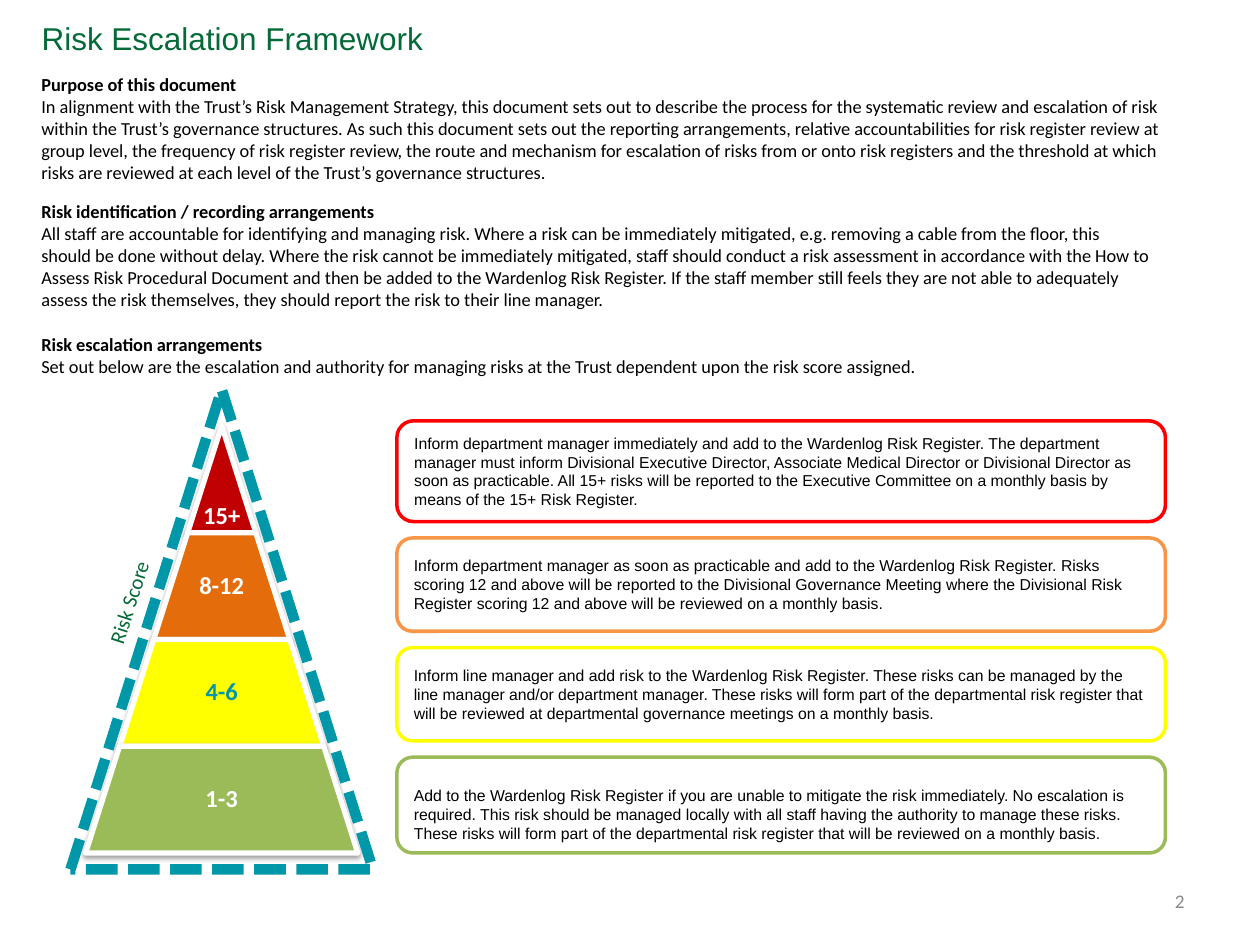
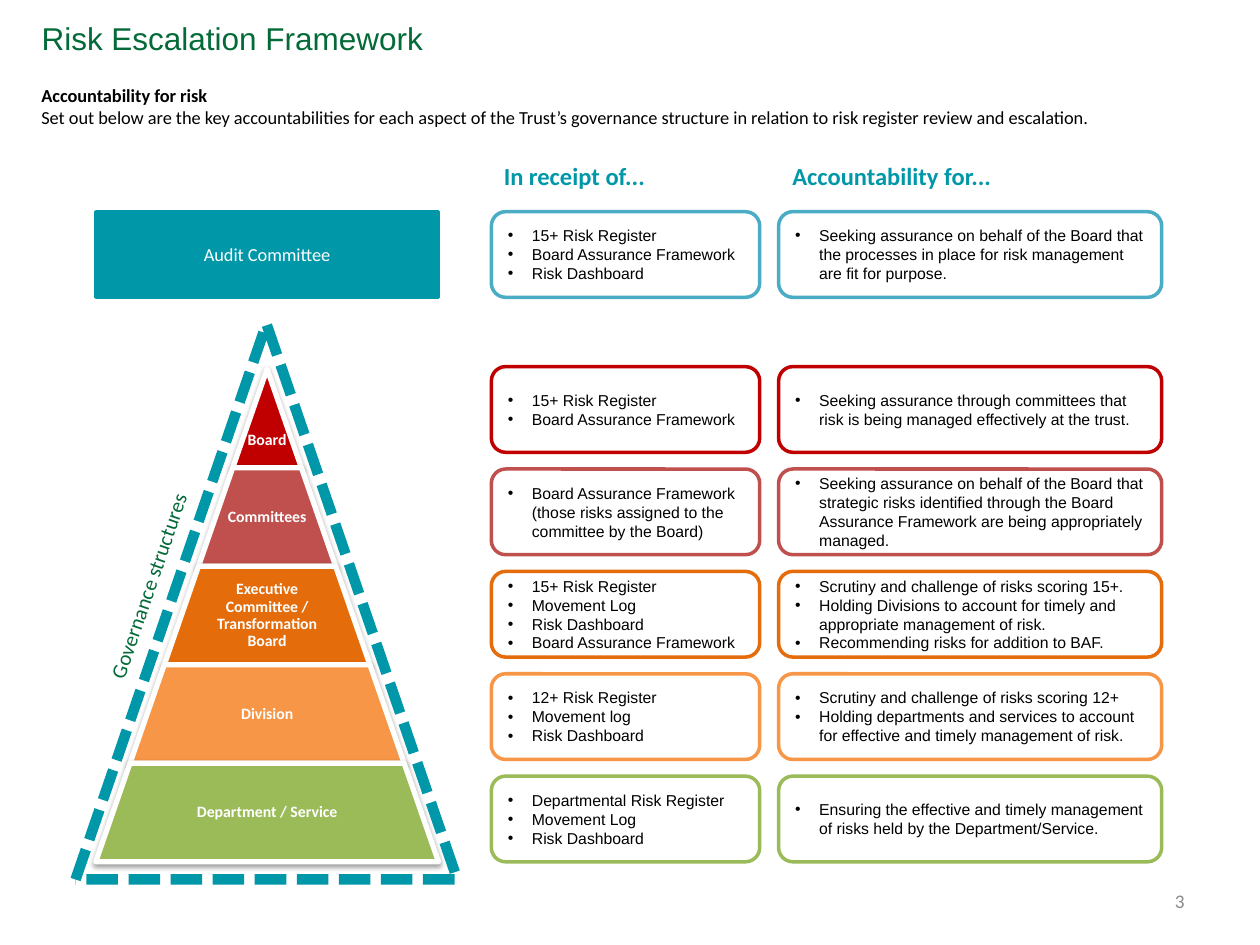
from dataclasses import dataclass, replace

from lxml import etree
from pptx import Presentation, util as u
from pptx.dml.color import RGBColor
from pptx.enum import dml, shapes, text
from pptx.oxml.ns import qn

COLORS = {
    "green": "046A38", "teal": "0097A9", "aqua": "4BACC6", "black": "000000",
    "white": "FFFFFF", "grey": "898989", "red": "FF0000", "crimson": "C00000",
    "brick": "C0504D", "rust": "E46C0A", "orange": "F79646",
    "yellow": "FFFF00", "leaf": "9BBB59",
}
KINDS = shapes.MSO_SHAPE
ALIGN = text.PP_ALIGN
ANCHOR = text.MSO_ANCHOR


@dataclass(frozen=True)
class Box:
    left: float
    top: float
    width: float
    height: float

    def lengths(self) -> list:
        return [u.Inches(v) for v in (self.left, self.top, self.width, self.height)]


@dataclass(frozen=True)
class Style:
    size: float
    font: str = "Calibri"
    color: str = "black"
    bold: bool = False
    align: ALIGN = ALIGN.LEFT
    bullet: bool = False
    line_spacing: float = 1.0
    space_before: float = 0


@dataclass(frozen=True)
class Level:
    label: str
    fill: str
    label_color: str = "white"


@dataclass(frozen=True)
class Pyramid:
    center: float
    top: float
    base: float
    height: float
    levels: tuple
    label_size: float
    label_inset: float
    peak_inset: float
    outline: Box
    side_label: str
    side_box: Box
    side_angle: float


@dataclass(frozen=True)
class Row:
    color: str
    receives: tuple
    accountable: tuple


TITLE = Style(18, "Arial", "green")
BODY = Style(10.5)
HEADING = replace(BODY, bold=True)
CARD = Style(9, "Arial")
BULLET = replace(CARD, bullet=True)
COLUMN = Style(14, color="teal", bold=True)
SIDE = Style(12, color="green", align=ALIGN.CENTER)
BANNER = Style(10.5, color="white", align=ALIGN.CENTER)
NUMBER = Style(11, color="grey", align=ALIGN.RIGHT)
INSETS = (0.1, 0.05, 0.1, 0.05)


def rgb(name: str) -> RGBColor:
    return RGBColor.from_string(COLORS[name])


def write(shape, lines: list, anchor=ANCHOR.TOP, insets: tuple = INSETS) -> None:
    frame = shape.text_frame
    frame.word_wrap = True
    frame.auto_size = text.MSO_AUTO_SIZE.NONE
    frame.vertical_anchor = anchor
    frame.margin_left, frame.margin_top, frame.margin_right, frame.margin_bottom = (
        u.Inches(v) for v in insets)
    for index, (words, style) in enumerate(lines):
        para = frame.add_paragraph() if index else frame.paragraphs[0]
        para.alignment = style.align
        para.line_spacing = style.line_spacing
        para.space_before = u.Pt(style.space_before)
        if style.bullet:
            props = para._p.get_or_add_pPr()
            props.set("marL", str(u.Inches(0.19)))
            props.set("indent", str(-u.Inches(0.19)))
            etree.SubElement(props, qn("a:buFont"), typeface="Arial")
            etree.SubElement(props, qn("a:buChar"), char="•")
        span = para.add_run()
        span.text = words
        span.font.size = u.Pt(style.size)
        span.font.name = style.font
        span.font.bold = style.bold
        span.font.color.rgb = rgb(style.color)


def add_text(page, box: Box, lines: list, anchor=ANCHOR.TOP, insets: tuple = INSETS):
    shape = page.shapes.add_textbox(*box.lengths())
    write(shape, lines, anchor, insets)
    return shape


def add_shape(page, kind, box: Box, line: str, weight: float, fill: str = ""):
    shape = page.shapes.add_shape(kind, *box.lengths())
    shape.shadow.inherit = False
    shape.line.color.rgb = rgb(line)
    shape.line.width = u.Pt(weight)
    if fill:
        shape.fill.solid()
        shape.fill.fore_color.rgb = rgb(fill)
    else:
        shape.fill.background()
    return shape


def add_shadow(shape) -> None:
    effects = shape._element.spPr.find(qn("a:effectLst"))
    shadow = etree.SubElement(effects, qn("a:outerShdw"), blurRad=str(u.Pt(3.1)),
                              dist=str(u.Pt(1.6)), dir="5400000", rotWithShape="0")
    color = etree.SubElement(shadow, qn("a:srgbClr"), val=COLORS["black"])
    etree.SubElement(color, qn("a:alpha"), val="38000")


def add_card(page, box: Box, color: str, lines: list, fill: str = "",
             insets: tuple = INSETS) -> None:
    card = add_shape(page, KINDS.ROUNDED_RECTANGLE, box, color, 2, fill)
    write(card, lines, ANCHOR.MIDDLE, insets)


def add_pyramid(page, pyramid: Pyramid) -> None:
    count = len(pyramid.levels)
    height = pyramid.height / count
    step = pyramid.base / count
    for index, level in enumerate(pyramid.levels):
        width = step * (index + 1)
        top = pyramid.top + height * index
        box = Box(pyramid.center - width / 2, top, width, height)
        band = add_shape(page, KINDS.TRAPEZOID, box, "white", 3, level.fill)
        band.adjustments[0] = step / 2 / min(width, height)
        add_shadow(band)
        peak = index == 0
        label_width = width if peak else width * 0.65
        inset = pyramid.label_inset
        style = Style(pyramid.label_size, color=level.label_color, bold=True,
                      align=ALIGN.CENTER, line_spacing=0.9)
        add_text(page, Box(pyramid.center - label_width / 2, top, label_width, height),
                 [(level.label, style)], ANCHOR.BOTTOM if peak else ANCHOR.MIDDLE,
                 (inset, inset, inset, pyramid.peak_inset if peak else inset))
    outline = add_shape(page, KINDS.ISOSCELES_TRIANGLE, pyramid.outline, "teal", 6)
    outline.line.dash_style = dml.MSO_LINE.SQUARE_DOT
    side = add_text(page, pyramid.side_box, [(pyramid.side_label, SIDE)],
                    insets=(0.07, 0.04, 0.07, 0.04))
    side.rotation = pyramid.side_angle


def add_page(deck, number: int):
    page = deck.slides.add_slide(deck.slide_layouts[5])
    title = page.shapes.title
    title.left, title.top, title.width, title.height = Box(0.23, 0.1, 5.32, 0.4).lengths()
    write(title, [("Risk Escalation Framework", TITLE)])
    add_text(page, Box(7.17, 6.95, 2.33, 0.4), [(str(number), NUMBER)], ANCHOR.MIDDLE)
    return page


def build_escalation(deck) -> None:
    page = add_page(deck, 2)
    add_text(page, Box(0.23, 0.53, 9.18, 0.98), [
        ("Purpose of this document", HEADING),
        ("In alignment with the Trust’s Risk Management Strategy, this document sets out to "
         "describe the process for the systematic review and escalation of risk within the "
         "Trust’s governance structures. As such this document sets out the reporting "
         "arrangements, relative accountabilities for risk register review at group level, the "
         "frequency of risk register review, the route and mechanism for escalation of risks "
         "from or onto risk registers and the threshold at which risks are reviewed at each "
         "level of the Trust’s governance structures.", BODY)])
    add_text(page, Box(0.23, 1.54, 9.03, 1.51), [
        ("Risk identification / recording arrangements", HEADING),
        ("All staff are accountable for identifying and managing risk. Where a risk can be "
         "immediately mitigated, e.g. removing a cable from the floor, this should be done "
         "without delay. Where the risk cannot be immediately mitigated, staff should conduct a "
         "risk assessment in accordance with the How to Assess Risk Procedural Document and "
         "then be added to the Wardenlog Risk Register. If the staff member still feels they "
         "are not able to adequately assess the risk themselves, they should report the risk to "
         "their line manager.", BODY),
        ("Risk escalation arrangements", replace(HEADING, space_before=12.8)),
        ("Set out below are the escalation and authority for managing risks at the Trust "
         "dependent upon the risk score assigned.", BODY)])
    add_pyramid(page, Pyramid(
        1.76, 3.38, 2.16, 3.39,
        (Level("15+", "crimson"), Level("8-12", "rust"),
         Level("4-6", "yellow", "teal"), Level("1-3", "leaf")),
        14, 0.02, 0.02, Box(0.56, 3.09, 2.4, 3.81),
        "Risk Score", Box(-0.47, 4.64, 2.98, 0.28), 287.9))
    cards = (
        ("red", 0.8, 0.05,
         "Inform department manager immediately and add to the Wardenlog Risk Register. The "
         "department manager must inform Divisional Executive Director, Associate Medical "
         "Director or Divisional Director as soon as practicable. All 15+ risks will be "
         "reported to the Executive Committee on a monthly basis by means of the 15+ Risk "
         "Register."),
        ("orange", 0.74, 0.05,
         "Inform department manager as soon as practicable and add to the Wardenlog Risk "
         "Register. Risks scoring 12 and above will be reported to the Divisional Governance "
         "Meeting where the Divisional Risk Register scoring 12 and above will be reviewed on a "
         "monthly basis."),
        ("yellow", 0.74, 0.05,
         "Inform line manager and add risk to the Wardenlog Risk Register. These risks can be "
         "managed by the line manager and/or department manager. These risks will form part of "
         "the departmental risk register that will be reviewed at departmental governance "
         "meetings on a monthly basis."),
        ("leaf", 0.76, 0.2,
         "Add to the Wardenlog Risk Register if you are unable to mitigate the risk "
         "immediately. No escalation is required. This risk should be managed locally with all "
         "staff having the authority to manage these risks. These risks will form part of the "
         "departmental risk register that will be reviewed on a monthly basis."),
    )
    top = 3.34
    for color, height, inset, words in cards:
        add_card(page, Box(3.15, top, 6.1, height), color, [(words, CARD)],
                 insets=(0.1, inset, 0.1, 0.05))
        top += height + 0.13


def build_accountability(deck) -> None:
    page = add_page(deck, 3)
    add_text(page, Box(0.23, 0.62, 9.03, 0.45), [
        ("Accountability for risk", HEADING),
        ("Set out below are the key accountabilities for each aspect of the Trust’s governance "
         "structure in relation to risk register review and escalation.", BODY)])
    add_pyramid(page, Pyramid(
        2.12, 2.93, 2.72, 3.91,
        (Level("Board", "crimson"), Level("Committees", "brick"),
         Level("Executive Committee / Transformation Board", "rust"),
         Level("Division", "orange"), Level("Department / Service", "leaf")),
        9, 0.01, 0.15, Box(0.6, 2.57, 3.03, 4.41),
        "Governance structures", Box(-0.55, 4.51, 3.45, 0.28), 289))
    add_text(page, Box(3.9, 1.23, 2.13, 0.34), [("In receipt of...", COLUMN)])
    add_text(page, Box(6.19, 1.23, 2.73, 0.34), [("Accountability for...", COLUMN)])
    audit = add_shape(page, KINDS.RECTANGLE, Box(0.76, 1.68, 2.72, 0.68), "teal", 2, "teal")
    write(audit, [("Audit Committee", BANNER)], ANCHOR.MIDDLE)
    register, assurance, dashboard = (
        "15+ Risk Register", "Board Assurance Framework", "Risk Dashboard")
    rows = (
        Row("aqua", (register, assurance, dashboard),
            ("Seeking assurance on behalf of the Board that the processes in place for risk "
             "management are fit for purpose.",)),
        Row("crimson", (register, assurance),
            ("Seeking assurance through committees that risk is being managed effectively at "
             "the trust.",)),
        Row("brick", (assurance + " (those risks assigned to the committee by the Board)",),
            ("Seeking assurance on behalf of the Board that strategic risks identified through "
             "the Board Assurance Framework are being appropriately managed.",)),
        Row("rust", (register, "Movement Log", dashboard, assurance),
            ("Scrutiny and challenge of risks scoring 15+.",
             "Holding Divisions to account for timely and appropriate management of risk.",
             "Recommending risks for addition to BAF.")),
        Row("orange", ("12+ Risk Register", "Movement log", dashboard),
            ("Scrutiny and challenge of risks scoring 12+",
             "Holding departments and services to account for effective and timely management "
             "of risk.")),
        Row("leaf", ("Departmental Risk Register", "Movement Log", dashboard),
            ("Ensuring the effective and timely management of risks held by the "
             "Department/Service.",)),
    )
    step = (6.16 - 2.91) / 4
    for index, row in enumerate(rows):
        top = 2.91 + step * (index - 1) if index else 1.68
        for left, width, items in ((3.9, 2.13, row.receives), (6.18, 3.04, row.accountable)):
            add_card(page, Box(left, top, width, 0.68), row.color,
                     [(item, BULLET) for item in items], "" if index else "white")


deck = Presentation()
deck.slide_width, deck.slide_height = u.Inches(10), u.Inches(7.5)
build_escalation(deck)
build_accountability(deck)
deck.save("out.pptx")
